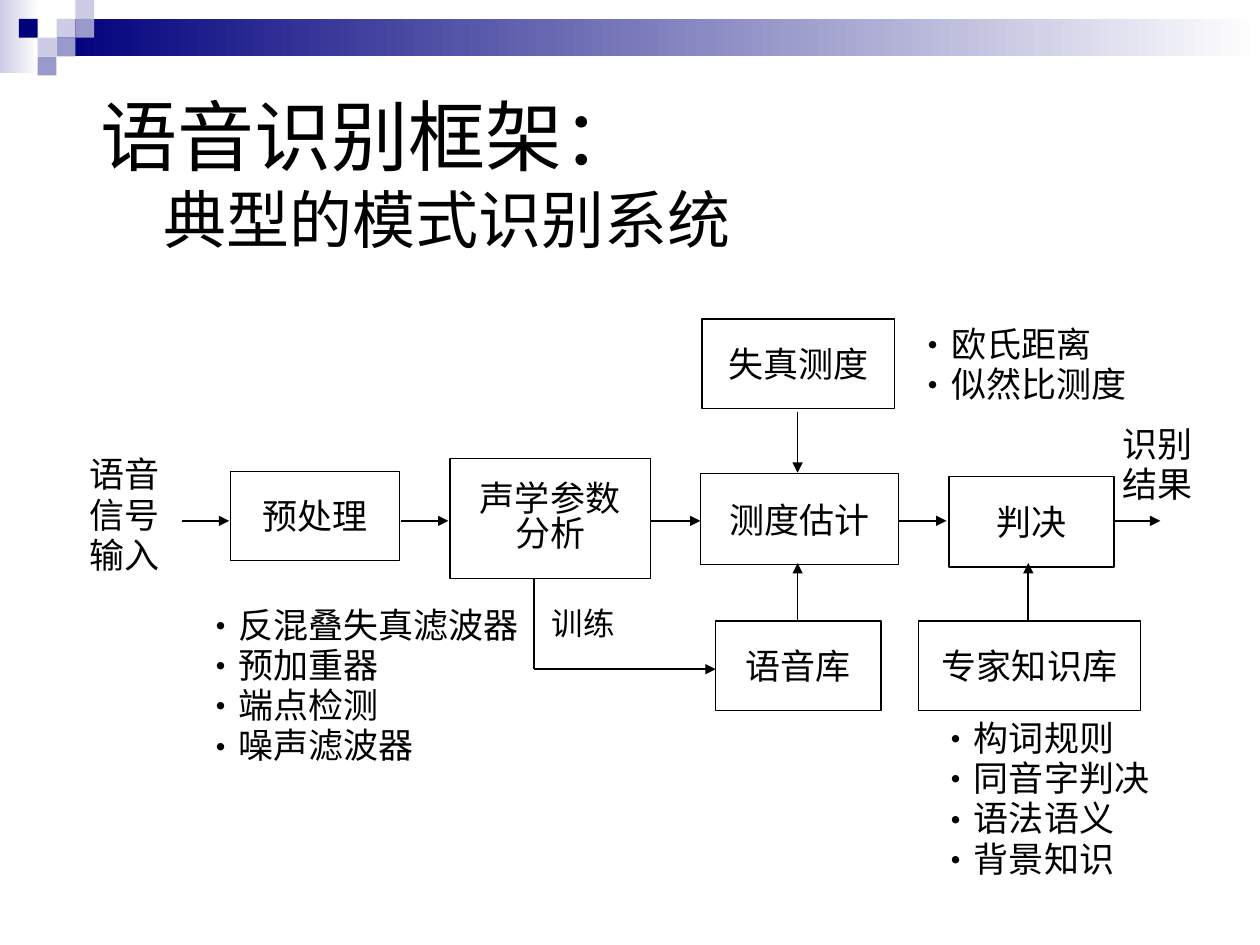
from dataclasses import dataclass

from lxml.etree import SubElement
from pptx import Presentation
from pptx.dml.color import RGBColor
from pptx.enum.shapes import MSO_CONNECTOR as Connector, MSO_SHAPE as Shape
from pptx.enum.text import MSO_ANCHOR as Anchor, MSO_AUTO_SIZE as AutoSize, PP_ALIGN as Align
from pptx.oxml.ns import qn
from pptx.util import Cm, Pt


@dataclass(frozen=True)
class Theme:
    ink: str = "000000"
    paper: str = "FFFFFF"
    navy: str = "00007D"
    mid: str = "9999CC"
    light: str = "CCCCE6"
    latin: str = "Arial"
    chinese: str = "Noto Sans CJK SC"
    title: int = 44
    subtitle: int = 36
    body: int = 20
    note: int = 18
    leading: int = 23
    tight_leading: int = 20
    bullet_indent: float = 0.71


THEME = Theme()


def color(name):
    return RGBColor.from_string(name)


def place(shape, left, top, width, height):
    shape.left, shape.top = Cm(left), Cm(top)
    shape.width, shape.height = Cm(width), Cm(height)


def add_run(paragraph, text, size=THEME.body, font=THEME.chinese):
    run = paragraph.add_run()
    run.text = text
    run.font.size = Pt(size)
    run.font.bold = False
    run.font.color.rgb = color(THEME.ink)
    run.font.name = font
    SubElement(run.font._element, qn("a:ea"), typeface=THEME.chinese)


def add_bullet(paragraph):
    properties = paragraph._p.get_or_add_pPr()
    indent = Cm(THEME.bullet_indent)
    properties.set("marL", str(indent))
    properties.set("indent", str(-indent))
    SubElement(properties, qn("a:buFont"), typeface=THEME.chinese)
    SubElement(properties, qn("a:buChar"), char="·")


def write(shape, text, size=THEME.body, align=Align.JUSTIFY, anchor=Anchor.TOP,
          leading=None, bullets=False):
    frame = shape.text_frame
    frame.word_wrap = True
    frame.auto_size = AutoSize.NONE
    frame.vertical_anchor = anchor
    for index, line in enumerate(text.split("\n")):
        paragraph = frame.add_paragraph() if index else frame.paragraphs[0]
        if bullets:
            add_bullet(paragraph)
        paragraph.alignment = align
        paragraph.space_before = Pt(0)
        if leading:
            paragraph.line_spacing = Pt(leading)
        add_run(paragraph, line, size)


def add_block(slide, left, top, width, height, fill, fade_to=None):
    block = slide.shapes.add_shape(
        Shape.RECTANGLE, Cm(left), Cm(top), Cm(width), Cm(height))
    block.shadow.inherit = False
    block.line.fill.background()
    if fade_to:
        block.fill.gradient()
        block.fill.gradient_angle = 0
        for stop, name in zip(block.fill.gradient_stops, (fill, fade_to)):
            stop.color.rgb = color(name)
    else:
        block.fill.solid()
        block.fill.fore_color.rgb = color(fill)


def add_banner(slide, left, top, width):
    unit = 0.38
    add_block(slide, left, top, 0.79, 1.47, THEME.light, THEME.paper)
    add_block(slide, left + 3 * unit, top + unit, width - 3 * unit, 2 * unit,
              THEME.navy, THEME.paper)
    tiles = [(3, 1, THEME.light), (4, 0, THEME.light), (4, 1, THEME.mid),
             (2, 2, THEME.light), (1, 1, THEME.navy), (3, 2, THEME.mid),
             (2, 3, THEME.mid)]
    for column, row, fill in tiles:
        add_block(slide, left + column * unit, top + row * unit, unit, unit, fill)


def add_title(slide, left, top, width, height):
    title = slide.shapes.title
    place(title, left, top, width, height)
    frame = title.text_frame
    frame.auto_size = AutoSize.NONE
    frame.vertical_anchor = Anchor.MIDDLE
    paragraph = frame.paragraphs[0]
    paragraph.alignment = Align.LEFT
    add_run(paragraph, "语音识别框架：", THEME.title, THEME.latin)
    paragraph.add_line_break()
    add_run(paragraph, "\t典型的模式识别系统", THEME.subtitle, THEME.latin)


def add_stage(slide, left, top, width, height, text):
    stage = slide.shapes.add_shape(
        Shape.RECTANGLE, Cm(left), Cm(top), Cm(width), Cm(height))
    stage.shadow.inherit = False
    stage.fill.background()
    stage.line.color.rgb = color(THEME.ink)
    stage.line.width = Pt(0.75)
    write(stage, text, align=Align.CENTER, anchor=Anchor.MIDDLE,
          leading=THEME.tight_leading if "\n" in text else None)


def add_line(slide, x1, y1, x2, y2, arrow=True):
    line = slide.shapes.add_connector(
        Connector.STRAIGHT, Cm(x1), Cm(y1), Cm(x2), Cm(y2))
    line.line.color.rgb = color(THEME.ink)
    line.line.width = Pt(1)
    if arrow:
        SubElement(line.line._get_or_add_ln(), qn("a:tailEnd"), type="triangle")
    SubElement(line._element.spPr, qn("a:effectLst"))


def add_diagram(slide, left, top):
    stages = [
        (3.1, 3.1, 3.4, 1.8, "预处理"),
        (7.52, 2.85, 4.04, 2.41, "声学参数\n分析"),
        (12.57, 3.15, 3.99, 1.83, "测度估计"),
        (12.6, 0.03, 3.89, 1.8, "失真测度"),
        (12.88, 6.12, 3.33, 1.8, "语音库"),
        (17.58, 3.2, 3.33, 1.83, "判决"),
        (16.97, 6.12, 4.47, 1.8, "专家知识库"),
    ]
    for x, y, width, height, text in stages:
        add_stage(slide, left + x, top + y, width, height, text)

    flow = 4.1
    spans = [(2.11, 3.07), (6.53, 7.49), (11.56, 12.57), (16.56, 17.53), (20.88, 21.84)]
    for start, end in spans:
        add_line(slide, left + start, top + flow, left + end, top + flow)
    for x, start, end in [(14.53, 1.91, 3.13), (14.53, 6.12, 4.95), (19.18, 6.12, 4.95)]:
        add_line(slide, left + x, top + start, left + x, top + end)
    branch, turn = left + 9.22, top + 7.09
    add_line(slide, branch, top + 5.26, branch, turn, arrow=False)
    add_line(slide, branch, turn, left + 12.88, turn)

    labels = [
        (0, 2.64, 2.46, 2.41, "语音\n信号\n输入", THEME.body),
        (9.32, 5.61, 2.57, 1.73, "训练", THEME.note),
        (20.83, 2.03, 2.36, 2.16, "识别\n结果", THEME.body),
    ]
    for x, y, width, height, text, size in labels:
        label = slide.shapes.add_textbox(
            Cm(left + x), Cm(top + y), Cm(width), Cm(height))
        write(label, text, size, leading=THEME.leading)


def add_lists(slide, left, top):
    lists = [
        (16.66, 0, 5.16, 2.06, "欧氏距离\n似然比测度"),
        (2.29, 5.67, 7.11, 3.86, "反混叠失真滤波器\n预加重器\n端点检测\n噪声滤波器"),
        (17.12, 7.95, 5.64, 3.86, "构词规则\n同音字判决\n语法语义\n背景知识"),
    ]
    bodies = list(slide.placeholders)[1:]
    for body, (x, y, width, height, text) in zip(bodies, lists):
        place(body, left + x, top + y, width, height)
        write(body, text, leading=THEME.leading, bullets=True)
    for spare in bodies[len(lists):]:
        spare.element.getparent().remove(spare.element)


def main():
    presentation = Presentation()
    presentation.slide_width, presentation.slide_height = Cm(25.4), Cm(19.05)
    comparison = presentation.slide_layouts.get_by_name("Comparison")
    slide = presentation.slides.add_slide(comparison)
    add_banner(slide, 0, 0, 25.4)
    add_title(slide, 1.78, 1.24, 22.53, 4.47)
    add_diagram(slide, 1.55, 6.4)
    add_lists(slide, 1.55, 6.4)
    presentation.save("out.pptx")


if __name__ == "__main__":
    main()
